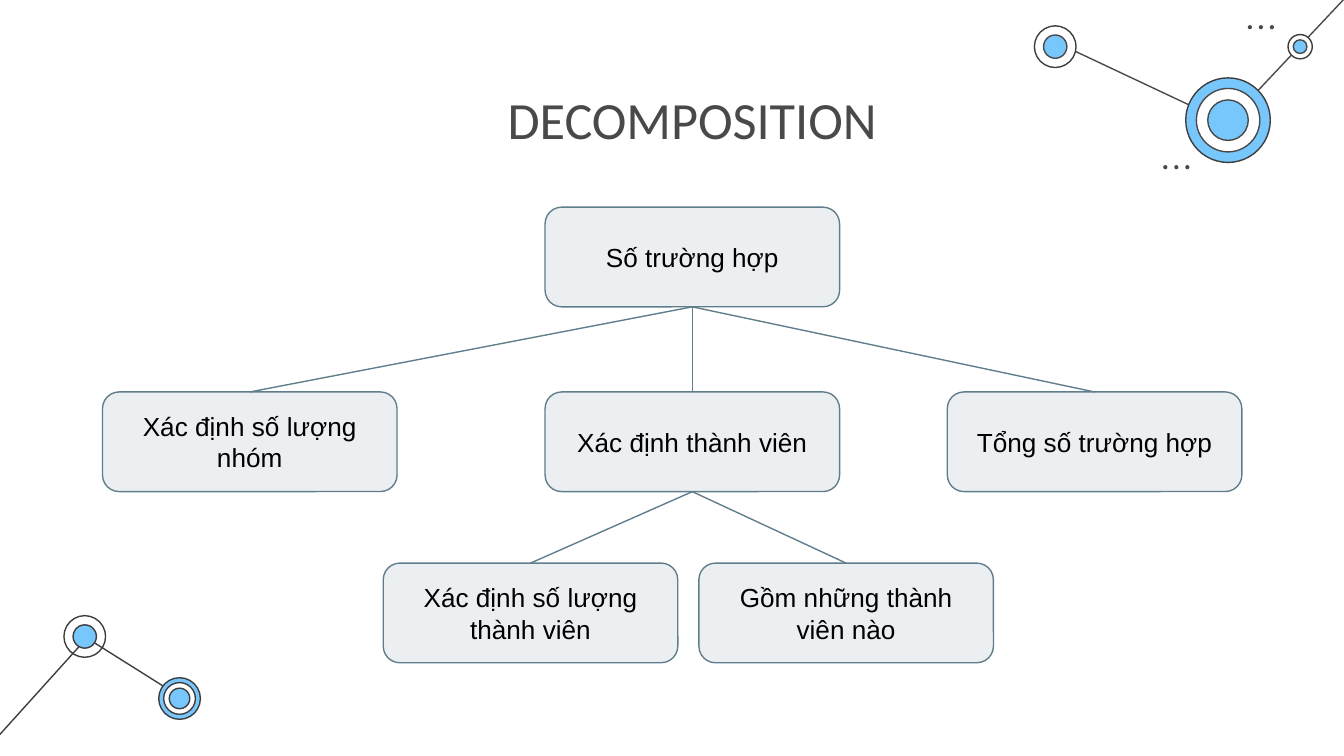
from lxml.etree import SubElement
from pptx import Presentation
from pptx.dml.color import RGBColor
from pptx.enum.shapes import MSO_CONNECTOR, MSO_SHAPE
from pptx.enum.text import MSO_ANCHOR, PP_ALIGN
from pptx.oxml.ns import qn
from pptx.util import Pt

THEME = {
    "blue": "77C6FC", "white": "FFFFFF", "dark": "3D3D3D", "gray": "494949",
    "box": "ECEFF1", "edge": "607D8B", "text": "000000",
    "title_font": "Calibri", "body_font": "Arial",
    "title_size": 28, "body_size": 14, "line": 0.75,
}

# Content: title and tree, all lengths in points
TITLE = "DECOMPOSITION"
TITLE_BOX = (67.8, 39.6, 606, 45.4)
BOX_W, BOX_H = 157.8, 53.4
ROW_TOPS = [111, 210, 301.7]
NODES = {  # name: (text, row, left, parent)
    "cases": ("Số trường hợp", 0, 292, None),
    "groups": ("Xác định số lượng nhóm", 1, 54.9, "cases"),
    "members": ("Xác định thành viên", 1, 292, "cases"),
    "total": ("Tổng số trường hợp", 1, 507.5, "cases"),
    "count": ("Xác định số lượng thành viên", 2, 205.3, "members"),
    "which": ("Gồm những thành viên nào", 2, 374.4, "members"),
}

# Corner decoration: links, ringed circles (centre, then layers), dot rows
LINKS = [
    ((46.8, 342), (99.3, 375), "dark"),
    ((0, 393.4), (46.8, 341.5), "dark"),
    ((658, 66.1), (566.5, 23), "gray"),
    ((720, -0.5), (658, 65.5), "gray"),
]
CIRCLES = [  # layers are (diameter, fill, outline)
    ((45.4, 341), [(22.3, None, "dark"), (12.5, "blue", "dark")]),
    ((96.2, 374.2), [(22.3, "blue", "dark"), (17, "white", "dark"),
                     (11, "blue", "dark")]),
    ((657.9, 64.4), [(45.3, "blue", "dark"), (34, "white", "gray"),
                     (21.7, "blue", "gray")]),
    ((565.3, 25), [(22.3, "white", "dark"), (12.5, "blue", "gray")]),
    ((696.5, 25), [(13, "white", "dark"), (7.3, "blue", "gray")]),
]
DOT_ROWS = [(668.5, 13.5), (623.2, 88.5)]
DOT_SIZE, DOT_STEP = 2.2, 5.9


def color(name):
    return RGBColor.from_string(THEME[name])


def add_shape(s, kind, box, fill, line=None):
    sp = s.shapes.add_shape(kind, *map(Pt, box))
    sp.shadow.inherit = False
    if fill:
        sp.fill.solid()
        sp.fill.fore_color.rgb = color(fill)
    else:
        sp.fill.background()
    if line:
        sp.line.color.rgb = color(line)
        sp.line.width = Pt(THEME["line"])
    else:
        sp.line.fill.background()
    return sp


def add_line(s, start, end, line):
    cxn = s.shapes.add_connector(MSO_CONNECTOR.STRAIGHT, *map(Pt, start + end))
    cxn.line.color.rgb = color(line)
    cxn.line.width = Pt(THEME["line"])
    SubElement(cxn._element.spPr, qn("a:effectLst"))
    return cxn


def set_text(sp, text, anchor, role, fill):
    tf = sp.text_frame
    frame = {"word_wrap": True, "vertical_anchor": anchor}
    frame.update({f"margin_{side}": Pt(7.2)
                  for side in ("left", "right", "top", "bottom")})
    for key, value in frame.items():
        setattr(tf, key, value)
    p = tf.paragraphs[0]
    p.alignment = PP_ALIGN.CENTER
    r = p.add_run()
    r.text = text
    font = {"name": THEME[f"{role}_font"], "size": Pt(THEME[f"{role}_size"])}
    for key, value in font.items():
        setattr(r.font, key, value)
    r.font.color.rgb = color(fill)


def main():
    prs = Presentation()
    prs.slide_width, prs.slide_height = Pt(720), Pt(405)
    s = prs.slides.add_slide(prs.slide_layouts[6])

    # Corner decoration
    for start, end, line in LINKS:
        add_line(s, start, end, line)
    for (cx, cy), layers in CIRCLES:
        for d, fill, line in layers:
            add_shape(s, MSO_SHAPE.OVAL, (cx - d / 2, cy - d / 2, d, d), fill, line)
    for left, top in DOT_ROWS:
        for i in range(3):
            box = (left + i * DOT_STEP, top, DOT_SIZE, DOT_SIZE)
            add_shape(s, MSO_SHAPE.OVAL, box, "gray")

    # Title
    title = s.shapes.add_textbox(*map(Pt, TITLE_BOX))
    set_text(title, TITLE, MSO_ANCHOR.TOP, "title", "gray")

    # Tree boxes
    boxes = {}
    for name, (text, row, left, _) in NODES.items():
        sp = add_shape(s, MSO_SHAPE.ROUNDED_RECTANGLE,
                       (left, ROW_TOPS[row], BOX_W, BOX_H), "box", "edge")
        set_text(sp, text, MSO_ANCHOR.MIDDLE, "body", "text")
        boxes[name] = sp

    # Branches: bottom of the parent to top of the child
    for name, (_, _, _, parent) in NODES.items():
        if parent:
            cxn = add_line(s, (0, 0), (0, 0), "edge")
            cxn.begin_connect(boxes[parent], 2)
            cxn.end_connect(boxes[name], 0)

    prs.save("out.pptx")


if __name__ == "__main__":
    main()
